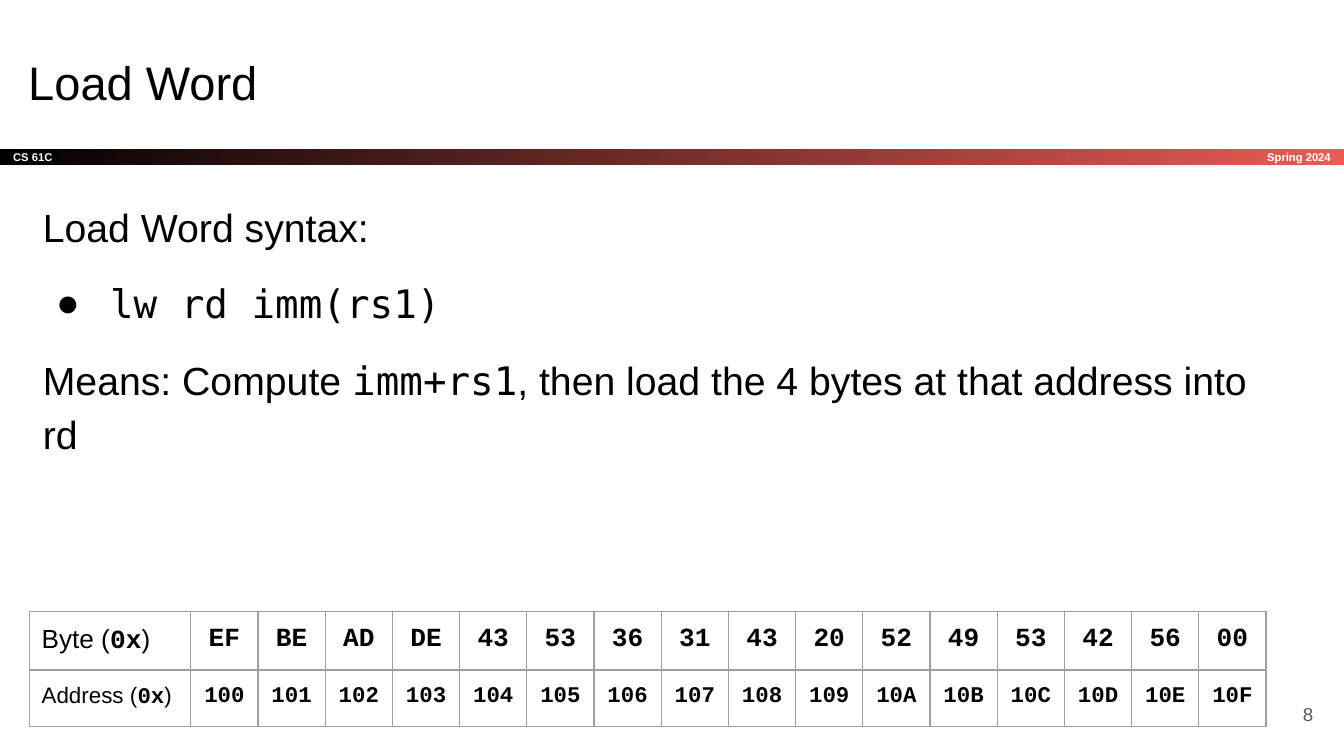
from dataclasses import dataclass
from typing import NamedTuple

from lxml import etree
from pptx import Presentation, util as u
from pptx.dml.color import RGBColor
from pptx.enum import shapes, text
from pptx.oxml import ns


@dataclass(frozen=True)
class Theme:
    sans: str = "Arial"
    code: str = "DejaVu Sans Mono"
    mono: str = "Courier New"
    ink: str = "000000"
    light: str = "FFFFFF"
    accent: str = "E85C54"
    muted: str = "595959"
    grid: str = "9E9E9E"
    title: float = 25.2
    body: float = 21
    byte: float = 14
    address: float = 12
    page: float = 10
    banner: float = 6


THEME = Theme()


class Box(NamedTuple):
    left: float
    top: float
    width: float
    height: float


class Span(NamedTuple):
    words: str
    font: str = THEME.sans
    bold: bool = False


@dataclass(frozen=True)
class Statement:
    spans: tuple[Span, ...]
    bullet: bool = False
    before: float | None = None
    after: float | None = None


@dataclass(frozen=True)
class MemoryRow:
    label: str
    values: list[str]
    size: float


STATEMENTS = (
    Statement((Span("Load Word syntax:"),)),
    Statement((Span("lw rd imm(rs1)", THEME.code),), bullet=True, before=12),
    Statement(
        (
            Span("Means: Compute "),
            Span("imm+rs1", THEME.code),
            Span(", then load the 4 bytes at that address into rd"),
        ),
        before=12,
        after=12,
    ),
)
BYTES = "EF BE AD DE 43 53 36 31 43 20 52 49 53 42 56 00".split()
MEMORY = (
    MemoryRow("Byte", BYTES, THEME.byte),
    MemoryRow("Address", [f"{0x100 + step:X}" for step in range(len(BYTES))], THEME.address),
)


def write(paragraph, words: str, *, size: float, font: str = THEME.sans,
          color: str = THEME.ink, bold: bool = False, align=text.PP_ALIGN.LEFT) -> None:
    paragraph.alignment = align
    run = paragraph.add_run()
    run.text = words
    run.font.size = u.Pt(size)
    run.font.name = font
    run.font.bold = bold
    run.font.color.rgb = RGBColor.from_string(color)


def prepare(frame, anchor=text.MSO_ANCHOR.TOP, vertical: float = 0.1):
    frame.word_wrap = True
    frame.auto_size = text.MSO_AUTO_SIZE.NONE
    frame.vertical_anchor = anchor
    frame.margin_left = frame.margin_right = u.Inches(0.1)
    frame.margin_top = frame.margin_bottom = u.Inches(vertical)
    return frame.paragraphs[0]


def add_text_area(slide, box: Box):
    return slide.shapes.add_textbox(*map(u.Inches, box)).text_frame


def add_title(slide, words: str, box: Box) -> None:
    title = slide.shapes.title
    title.left, title.top, title.width, title.height = map(u.Inches, box)
    write(prepare(title.text_frame), words, size=THEME.title)


def add_banner(slide, course: str, term: str) -> None:
    banner = slide.shapes.add_shape(
        shapes.MSO_SHAPE.RECTANGLE, *map(u.Inches, Box(0, 1.11, 10, 0.12)))
    banner.shadow.inherit = False
    banner.line.fill.background()
    banner.fill.gradient()
    banner.fill.gradient_angle = 0
    for stop, position, color in zip(
            banner.fill.gradient_stops, (0, 1), (THEME.ink, THEME.accent)):
        stop.position = position
        stop.color.rgb = RGBColor.from_string(color)
    term_area = add_text_area(slide, Box(8.34, 1.11, 1.66, 0.12))
    for frame, words, align in (
            (banner.text_frame, course, text.PP_ALIGN.LEFT),
            (term_area, term, text.PP_ALIGN.RIGHT)):
        write(prepare(frame, text.MSO_ANCHOR.MIDDLE, 0), words, size=THEME.banner,
              color=THEME.light, bold=True, align=align)


def add_bullet(paragraph) -> None:
    properties = paragraph._p.get_or_add_pPr()
    properties.set("marL", str(u.Inches(0.5)))
    properties.set("indent", str(u.Inches(-0.4)))
    color = etree.SubElement(properties, ns.qn("a:buClr"))
    etree.SubElement(color, ns.qn("a:srgbClr"), val=THEME.ink)
    etree.SubElement(properties, ns.qn("a:buFont"), typeface=THEME.sans)
    etree.SubElement(properties, ns.qn("a:buChar"), char="●")


def add_statements(slide, statements: tuple[Statement, ...], box: Box) -> None:
    frame = add_text_area(slide, box)
    first = prepare(frame)
    for index, statement in enumerate(statements):
        paragraph = frame.add_paragraph() if index else first
        if statement.bullet:
            add_bullet(paragraph)
        paragraph.line_spacing = 1.15
        if statement.before is not None:
            paragraph.space_before = u.Pt(statement.before)
        if statement.after is not None:
            paragraph.space_after = u.Pt(statement.after)
        for span in statement.spans:
            write(paragraph, span.words, size=THEME.body, font=span.font, bold=span.bold)


def style_cell(cell) -> None:
    properties = cell._tc.get_or_add_tcPr()
    for side in ("lnL", "lnR", "lnT", "lnB"):
        border = etree.SubElement(properties, ns.qn(f"a:{side}"), w=str(u.Pt(0.75)))
        fill = etree.SubElement(border, ns.qn("a:solidFill"))
        etree.SubElement(fill, ns.qn("a:srgbClr"), val=THEME.grid)
    cell.fill.background()
    cell.margin_left = cell.margin_right = u.Inches(0.09)
    cell.margin_top = cell.margin_bottom = u.Inches(0.1)


def add_memory_table(slide, rows: tuple[MemoryRow, ...], left: float, top: float) -> None:
    widths = [1.2] + [0.5] * len(BYTES)
    height = 0.42
    table = slide.shapes.add_table(
        len(rows), len(widths),
        *map(u.Inches, Box(left, top, sum(widths), height * len(rows)))).table
    table.first_row = table.horz_banding = False
    for column, width in zip(table.columns, widths):
        column.width = u.Inches(width)
    for index, row in enumerate(rows):
        table.rows[index].height = u.Inches(height)
        label, *cells = table.rows[index].cells
        style_cell(label)
        for span in (Span(f"{row.label} ("), Span("0x", THEME.mono, True), Span(")")):
            write(label.text_frame.paragraphs[0], span.words, size=row.size,
                  font=span.font, bold=span.bold)
        for cell, value in zip(cells, row.values):
            style_cell(cell)
            write(cell.text_frame.paragraphs[0], value, size=row.size, font=THEME.mono,
                  bold=True, align=text.PP_ALIGN.CENTER)


def main() -> None:
    deck = Presentation()
    deck.slide_width = u.Inches(10)
    deck.slide_height = deck.slide_width * 9 // 16
    slide = deck.slides.add_slide(deck.slide_layouts.get_by_name("Title Only"))
    add_banner(slide, "CS 61C", "Spring 2024")
    add_title(slide, "Load Word", Box(0.11, 0.3, 9.32, 0.63))
    add_statements(slide, STATEMENTS, Box(0.22, 1.36, 9.32, 2.83))
    page = prepare(add_text_area(slide, Box(9.27, 5.1, 0.6, 0.43)), text.MSO_ANCHOR.MIDDLE)
    write(page, "8", size=THEME.page, color=THEME.muted, align=text.PP_ALIGN.RIGHT)
    add_memory_table(slide, MEMORY, 0.22, 4.55)
    deck.save("out.pptx")


if __name__ == "__main__":
    main()
